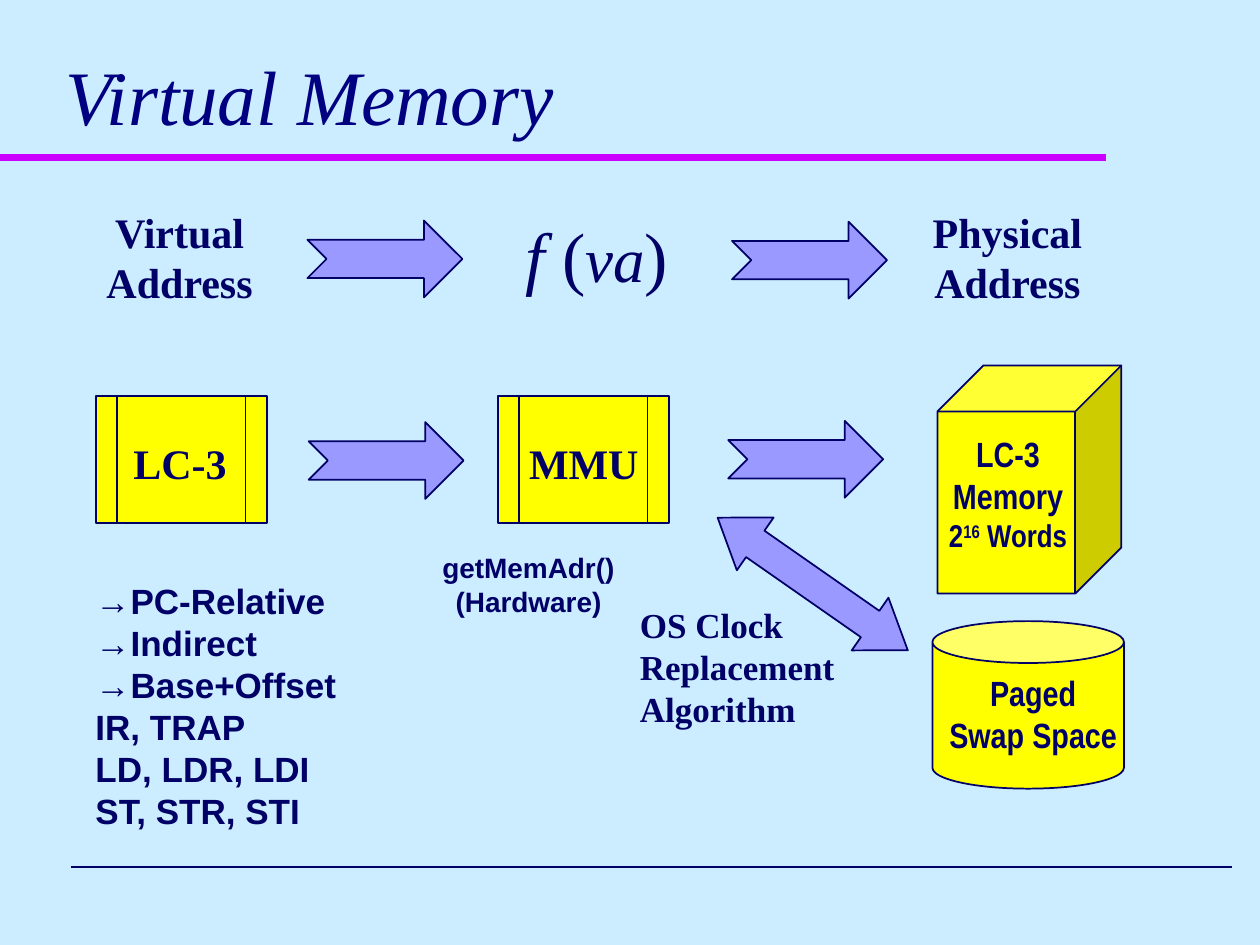
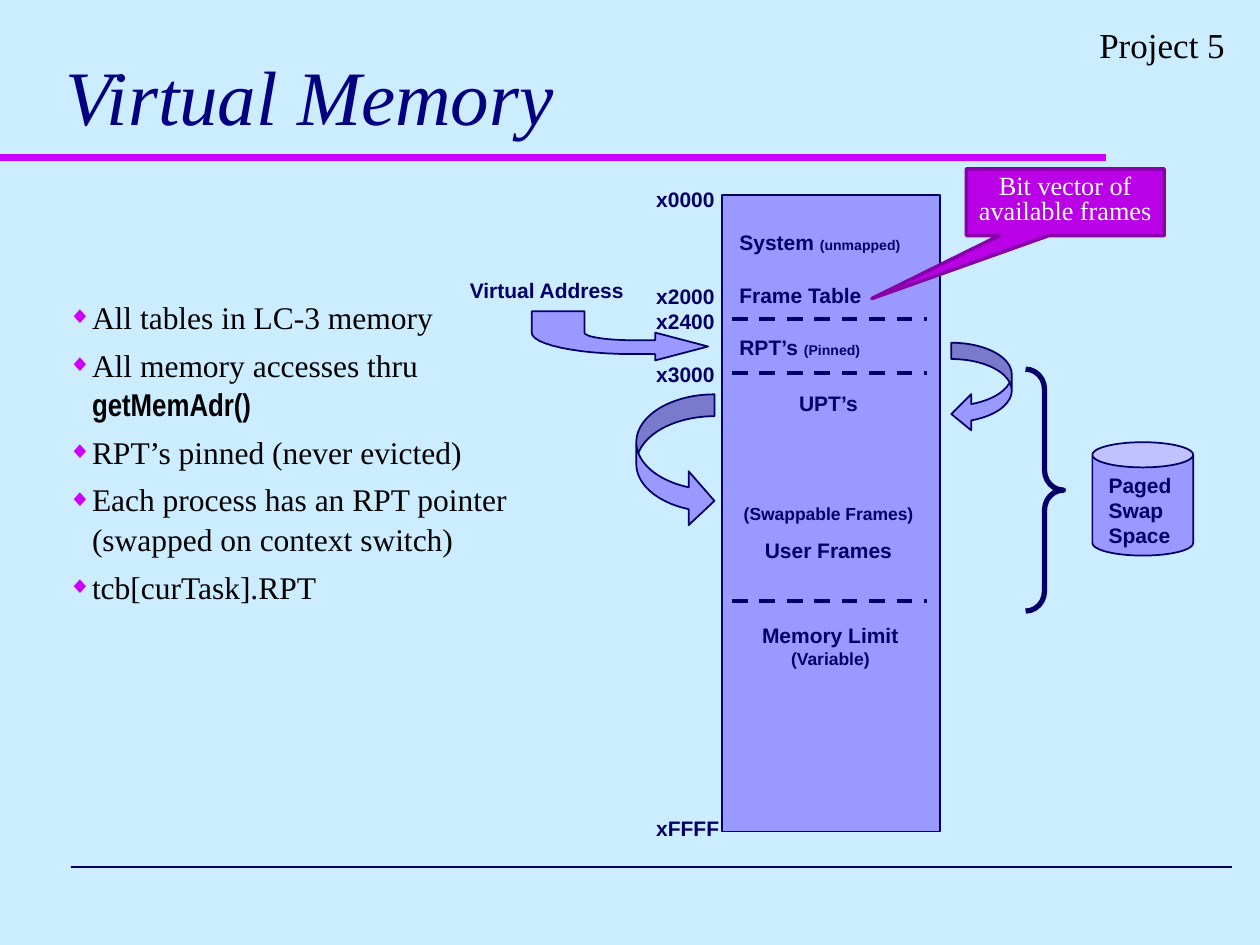
from dataclasses import dataclass
from math import cos, pi, sin

from lxml import etree
from pptx import Presentation
from pptx.dml.color import RGBColor
from pptx.enum import dml, shapes, text
from pptx.oxml import ns
from pptx.util import Inches, Pt

SHAPE = shapes.MSO_SHAPE
CENTER, LEFT, RIGHT = text.PP_ALIGN.CENTER, text.PP_ALIGN.LEFT, text.PP_ALIGN.RIGHT
SERIF, SANS, NARROW = "Times New Roman", "Arial", "Arial Narrow"


@dataclass(frozen=True)
class Theme:
    sky: str = "CCECFF"
    magenta: str = "CC00FF"
    navy: str = "000066"
    yellow: str = "FFFF00"
    lilac: str = "9999FF"
    callout: str = "B900E7"
    callout_edge: str = "8700AA"
    # Text styles: font, size, colour, bold, italic
    title: tuple = (SERIF, 44, "000080", False, True)
    formula: tuple = (SERIF, 40, navy, False, False)
    heading: tuple = (SERIF, 24, navy, True, False)
    caption: tuple = (SERIF, 20, navy, True, False)
    modes: tuple = (SANS, 20, navy, True, False)
    storage: tuple = (NARROW, 20, navy, True, False)
    function: tuple = (SANS, 16, navy, True, False)
    memory: tuple = (SANS, 12, navy, True, False)
    body: tuple = (SERIF, 18, "000000", False, False)
    corner: tuple = (SERIF, 20, "000000", False, False)
    note: tuple = (SERIF, 15, "FFFFFF", False, False)


THEME = Theme()


def write(frame, lines, style, align=LEFT):
    """Fill a frame; a line is a string or a list of strings and (string, font changes)."""
    font_name, size, color, bold, italic = style
    frame.word_wrap = True
    frame.auto_size = text.MSO_AUTO_SIZE.NONE
    for number, line in enumerate(lines):
        paragraph = frame.add_paragraph() if number else frame.paragraphs[0]
        paragraph.alignment = align
        paragraph.space_before = Pt(0)
        font = paragraph.font
        font.name, font.size, font.bold, font.italic = font_name, Pt(size), bold, italic
        font.color.rgb = RGBColor.from_string(color)
        for piece in [line] if isinstance(line, str) else line:
            words, changes = (piece, {}) if isinstance(piece, str) else piece
            run = paragraph.add_run()
            run.text = words
            for key, value in changes.items():
                if key == "baseline":
                    run.font._element.set(key, str(value))
                else:
                    setattr(run.font, key, value)


def add_shape(slide, kind, box, fill, line=THEME.navy, width=1, adjustments=()):
    shape = slide.shapes.add_shape(kind, *map(Inches, box))
    shape.shadow.inherit = False
    if fill:
        shape.fill.solid()
        shape.fill.fore_color.rgb = RGBColor.from_string(fill)
    else:
        shape.fill.background()
    shape.line.color.rgb = RGBColor.from_string(line)
    shape.line.width = Pt(width)
    for index, value in enumerate(adjustments):
        shape.adjustments[index] = value
    return shape


presentation = Presentation()
presentation.slide_width, presentation.slide_height = Inches(10), Inches(7.5)
master = presentation.slide_master
master.background.fill.solid()
master.background.fill.fore_color.rgb = RGBColor.from_string(THEME.sky)

translation = presentation.slides.add_slide(presentation.slide_layouts[5])
layout_map = presentation.slides.add_slide(presentation.slide_layouts[1])

for slide in (translation, layout_map):
    title = slide.shapes.title
    title.left, title.top, title.width, title.height = map(Inches, (0.42, 0.17, 9.25, 1))
    title.text_frame.vertical_anchor = text.MSO_ANCHOR.BOTTOM
    write(title.text_frame, ["Virtual Memory"], THEME.title)

# Slide 1: address translation
for left, top in ((2.44, 1.75), (5.81, 1.76), (2.45, 3.35), (5.78, 3.34)):
    add_shape(translation, SHAPE.NOTCHED_RIGHT_ARROW, (left, top, 1.23, 0.61),
              THEME.lilac, adjustments=(0.5, 0.5))
for left in (0.76, 3.95):
    add_shape(translation, SHAPE.FLOWCHART_PREDEFINED_PROCESS,
              (left, 3.14, 1.36, 1.01), THEME.yellow)
add_shape(translation, SHAPE.CUBE, (7.44, 2.9, 1.46, 1.81), THEME.yellow, adjustments=(0.25,))
add_shape(translation, SHAPE.CAN, (7.4, 4.93, 1.52, 1.33), THEME.yellow, adjustments=(0.25,))
swap_arrow = add_shape(translation, SHAPE.LEFT_RIGHT_ARROW, (5.53, 4.38, 1.84, 0.51),
                       THEME.lilac, adjustments=(0.5, 0.715))
swap_arrow.rotation = 34.9

italic = {"italic": True}
small_words = {"size": Pt(18)}
translation_labels = [
    ((0.65, 1.59, 1.55, 0.9), ["Virtual", "Address"], THEME.heading, CENTER),
    ((4.07, 1.64, 1.55, 0.77),
     [[("f", italic), " (", ("va", {"italic": True, "size": Pt(36)}), ")"]],
     THEME.formula, LEFT),
    ((7.22, 1.59, 1.55, 0.9), ["Physical", "Address"], THEME.heading, CENTER),
    ((0.96, 3.42, 1.04, 0.5), ["LC-3"], THEME.heading, LEFT),
    ((4.1, 3.42, 1.22, 0.5), ["MMU"], THEME.heading, LEFT),
    ((0.66, 4.55, 2.3, 2.1),
     ["→PC-Relative", "→Indirect", "→Base+Offset", "IR, TRAP", "LD, LDR, LDI", "ST, STR, STI"],
     THEME.modes, LEFT),
    ((3.36, 4.32, 1.67, 0.64), ["getMemAdr()", "(Hardware)"], THEME.function, CENTER),
    ((4.98, 4.74, 1.77, 1.1), ["OS Clock", "Replacement Algorithm"], THEME.caption, LEFT),
    ((7.39, 3.38, 1.22, 1.07),
     ["LC-3", "Memory", [("2", small_words), ("16", {"size": Pt(18), "baseline": 30000}),
                         (" Words", small_words)]],
     THEME.storage, CENTER),
    ((7.41, 5.28, 1.58, 0.77), ["Paged", "Swap Space"], THEME.storage, CENTER),
]

# Slide 2: memory map
body = layout_map.placeholders[1]
body.left, body.top, body.width, body.height = map(Inches, (0.44, 2.3, 3.69, 3.69))
write(body.text_frame, [
    "All tables in LC-3 memory",
    ["All memory accesses thru ", ("getMemAdr()", {"name": NARROW, "bold": True})],
    "RPT’s pinned (never evicted)",
    "Each process has an RPT pointer (swapped on context switch)",
    "tcb[curTask].RPT",
], THEME.body)
for number, paragraph in enumerate(body.text_frame.paragraphs):
    paragraph.line_spacing = 1.05
    paragraph.space_before = Pt(4.5 if number else 0)
    properties = paragraph._p.get_or_add_pPr()
    properties.set("marL", str(Inches(0.19)))
    properties.set("indent", str(Inches(-0.19)))
    bullet_color = etree.Element(ns.qn("a:buClr"))
    etree.SubElement(bullet_color, ns.qn("a:srgbClr"), val=THEME.magenta)
    defaults = properties.find(ns.qn("a:defRPr"))
    for element in (bullet_color, etree.Element(ns.qn("a:buSzPct"), val="75000"),
                    etree.Element(ns.qn("a:buChar"), char="◆")):
        defaults.addprevious(element)

add_shape(layout_map, SHAPE.RECTANGLE, (5.73, 1.55, 1.73, 5.05), THEME.lilac)
add_shape(layout_map, SHAPE.CURVED_LEFT_ARROW, (7.55, 2.72, 0.48, 0.71), THEME.lilac,
          adjustments=(0.27, 0.6, 0.33))
add_shape(layout_map, SHAPE.CURVED_RIGHT_ARROW, (5.05, 3.13, 0.62, 1.06), THEME.lilac,
          adjustments=(0.28, 0.69, 0.33))
add_shape(layout_map, SHAPE.RIGHT_BRACE, (8.14, 2.93, 0.3, 1.92), None, width=3,
          adjustments=(0.53, 0.5))
add_shape(layout_map, SHAPE.CAN, (8.67, 3.51, 0.8, 0.9), THEME.lilac, adjustments=(0.25,))

# The bent arrow turns along two quarter ellipses around one centre
angles = [step * pi / 24 for step in range(13)]
outer = [(5.02 - 0.8 * sin(angle), 2.64 + 0.17 * cos(angle)) for angle in angles]
inner = [(5.02 - 0.38 * cos(angle), 2.64 + 0.06 * sin(angle)) for angle in angles]
outline = [(5.2, 2.86), (5.2, 2.81), *outer, (4.22, 2.47), (4.64, 2.47), *inner,
           (5.2, 2.7), (5.2, 2.64)]
builder = layout_map.shapes.build_freeform(Inches(5.62), Inches(2.75))
builder.add_line_segments([(Inches(x), Inches(y)) for x, y in outline], close=True)
bent_arrow = builder.convert_to_shape()
bent_arrow.shadow.inherit = False
bent_arrow.fill.solid()
bent_arrow.fill.fore_color.rgb = RGBColor.from_string(THEME.lilac)
bent_arrow.line.color.rgb = RGBColor.from_string(THEME.navy)
bent_arrow.line.width = Pt(1)

tiny, small = {"size": Pt(8)}, {"size": Pt(10)}
addresses = {"x0000": 1.43, "x2000": 2.2, "x2400": 2.4, "x3000": 2.82, "xFFFF": 6.42}
map_labels = [((5.11, top, 0.78, 0.3), [address], THEME.memory, LEFT)
              for address, top in addresses.items()]
map_labels += [
    ((3.63, 2.15, 1.49, 0.3), ["Virtual Address"], THEME.memory, LEFT),
    ((5.77, 1.77, 2.66, 0.3), [["System ", ("(unmapped)", tiny)]], THEME.memory, LEFT),
    ((5.77, 2.19, 1.66, 0.3), ["Frame Table"], THEME.memory, LEFT),
    ((5.77, 2.61, 1.76, 0.3), [["RPT’s ", ("(Pinned)", tiny)]], THEME.memory, LEFT),
    ((5.89, 4.89, 1.4, 0.47), ["Memory Limit", [("(Variable)", small)]], THEME.memory, CENTER),
    ((8.7, 3.7, 0.8, 0.7), ["Paged", "Swap", "Space"], THEME.memory, LEFT),
    ((6.24, 0.14, 3.58, 0.44), ["Project 5"], THEME.corner, RIGHT),
    ((5.77, 3.05, 1.61, 1.47), ["UPT’s", [("(Swappable Frames)", small)], "User Frames"],
     THEME.memory, CENTER),
]

for slide, labels in ((translation, translation_labels), (layout_map, map_labels)):
    for box, lines, style, align in labels:
        label = slide.shapes.add_textbox(*map(Inches, box))
        write(label.text_frame, lines, style, align)

frames_label = label  # the last label of the memory map
for paragraph, gap in zip(frames_label.text_frame.paragraphs, (0, 50, 7.5)):
    paragraph.space_before = Pt(gap)

callout = add_shape(layout_map, SHAPE.RECTANGULAR_CALLOUT, (7.67, 1.34, 1.57, 0.53),
                    THEME.callout, THEME.callout_edge, 2, (-0.978, 1.444))
frame = callout.text_frame
frame.margin_left = frame.margin_right = Inches(0.05)
frame.vertical_anchor = text.MSO_ANCHOR.TOP
write(frame, ["Bit vector of available frames"], THEME.note, CENTER)
frame.paragraphs[0].line_spacing = 0.8

# Straight lines: the two rules go to the master, the dashes divide the memory map
rules = [(0, 8.78, 1.25, THEME.magenta, 4, True), (0.56, 9.78, 6.88, THEME.navy, 1, True)]
dividers = [(5.81, 7.36, y, THEME.navy, 2.25, False) for y in (2.53, 2.96, 4.77)]
for start, end, y, color, width, shared in rules + dividers:
    line = layout_map.shapes.add_connector(
        shapes.MSO_CONNECTOR.STRAIGHT, Inches(start), Inches(y), Inches(end), Inches(y))
    line.line.color.rgb = RGBColor.from_string(color)
    line.line.width = Pt(width)
    if not shared:
        line.line.dash_style = dml.MSO_LINE.DASH
    etree.SubElement(line._element.spPr, ns.qn("a:effectLst"))
    if shared:
        master.shapes._spTree.append(line._element)

presentation.save("out.pptx")
